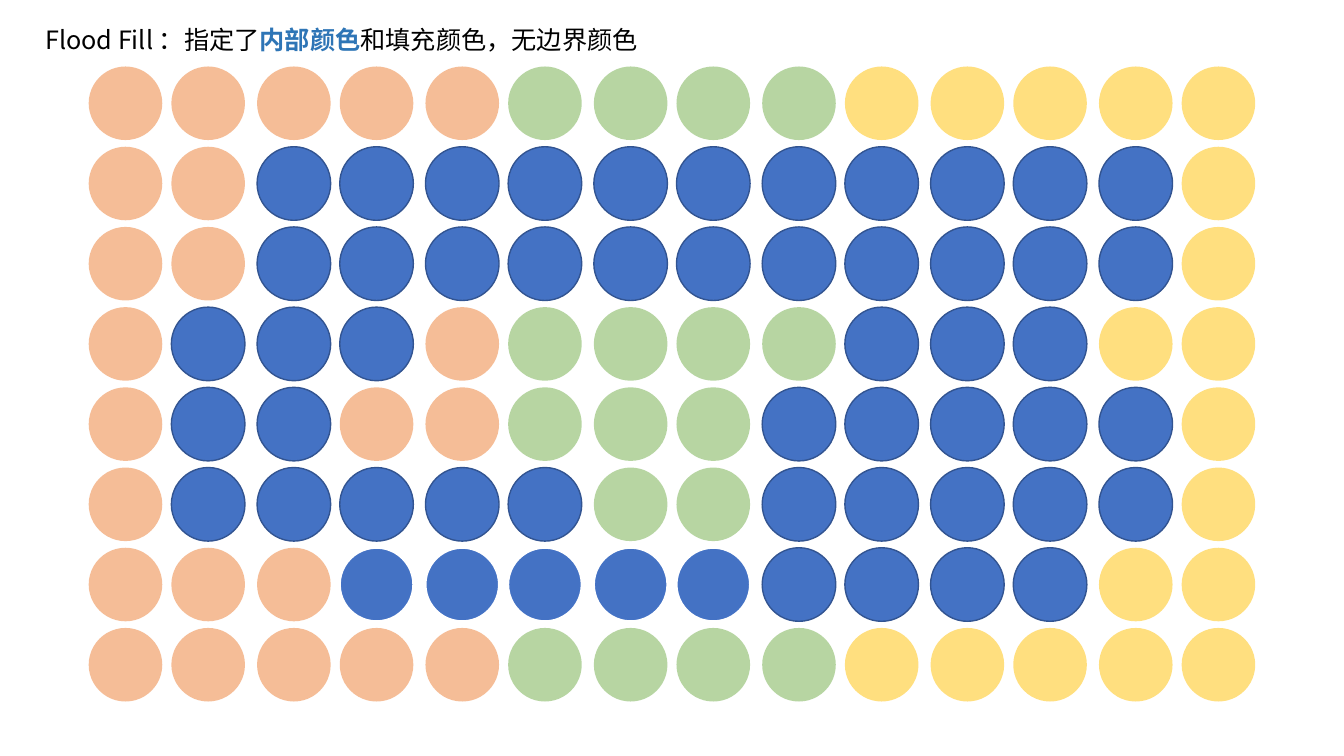
from lxml import etree
from pptx import Presentation
from pptx.dml.color import RGBColor
from pptx.enum.shapes import MSO_SHAPE
from pptx.enum.text import MSO_AUTO_SIZE
from pptx.oxml.ns import qn
from pptx.util import Inches, Pt

OVAL = MSO_SHAPE.OVAL
GROW = MSO_AUTO_SIZE.SHAPE_TO_FIT_TEXT

# Content
FONT = "Noto Sans CJK SC"
TITLE = [  # text, colour, bold
    ("Flood Fill ：指定了", "000000", False),
    ("内部颜色", "2E75B6", True),
    ("和填充颜色，无边界颜色", "000000", False),
]
GRID = [
    "OOOOOGGGGYYYYY",
    "OOBBBBBBBBBBBY",
    "OOBBBBBBBBBBBY",
    "OBBBOGGGGBBBYY",
    "OBBOOGGGBBBBBY",
    "OBBBBBGGBBBBBY",
    "OOOWWWWWBBBBYY",
    "OOOOOGGGGYYYYY",
]
STYLES = {  # fill, opacity in percent, line colour, line width
    "O": ("ED7D31", 50, None, 0),
    "G": ("70AD47", 50, None, 0),
    "Y": ("FFC000", 50, None, 0),
    "B": ("4472C4", 100, "325491", 1),
    "W": ("4472C4", 100, "FFFFFF", 1.5),
}

# Grid geometry: columns come in pairs
LEFT, PAIR_STEP, IN_PAIR = 0.88, 1.67, 0.82
TOP, BOTTOM = 0.66, 6.23
ROW_STEP = (BOTTOM - TOP) / (len(GRID) - 1)
SIZE = 0.73


def paint(color_format, color):
    color_format.rgb = RGBColor.from_string(color)


def add_pixel(shapes, x, y, fill, opacity, line, width):
    sp = shapes.add_shape(OVAL, Inches(x), Inches(y), Inches(SIZE), Inches(SIZE))
    sp.shadow.inherit = False
    sp.fill.solid()
    paint(sp.fill.fore_color, fill)
    if opacity < 100:
        clr = sp.fill._xPr.find(qn("a:solidFill"))[0]
        etree.SubElement(clr, qn("a:alpha")).set("val", str(opacity * 1000))
    if line:
        paint(sp.line.color, line)
        sp.line.width = Pt(width)
    else:
        sp.line.fill.background()


def add_title(shapes):
    box = shapes.add_textbox(Inches(0.35), Inches(0.19), Inches(6.99), Inches(0.4))
    tf = box.text_frame
    tf.word_wrap = True
    tf.auto_size = GROW
    p = tf.paragraphs[0]
    for text, color, bold in TITLE:
        r = p.add_run()
        r.text = text
        r.font.size = Pt(18)
        r.font.bold = bold
        r.font.name = FONT
        paint(r.font.color, color)
        etree.SubElement(r.font._element, qn("a:ea")).set("typeface", FONT)


def main():
    prs = Presentation()
    prs.slide_width, prs.slide_height = Inches(13.33), Inches(7.5)
    s = prs.slides.add_slide(prs.slide_layouts[6])

    # Pixels
    for row, line in enumerate(GRID):
        for col, kind in enumerate(line):
            pair, second = divmod(col, 2)
            x = LEFT + pair * PAIR_STEP + second * IN_PAIR
            add_pixel(s.shapes, x, TOP + row * ROW_STEP, *STYLES[kind])

    add_title(s.shapes)
    prs.save("out.pptx")


if __name__ == "__main__":
    main()
